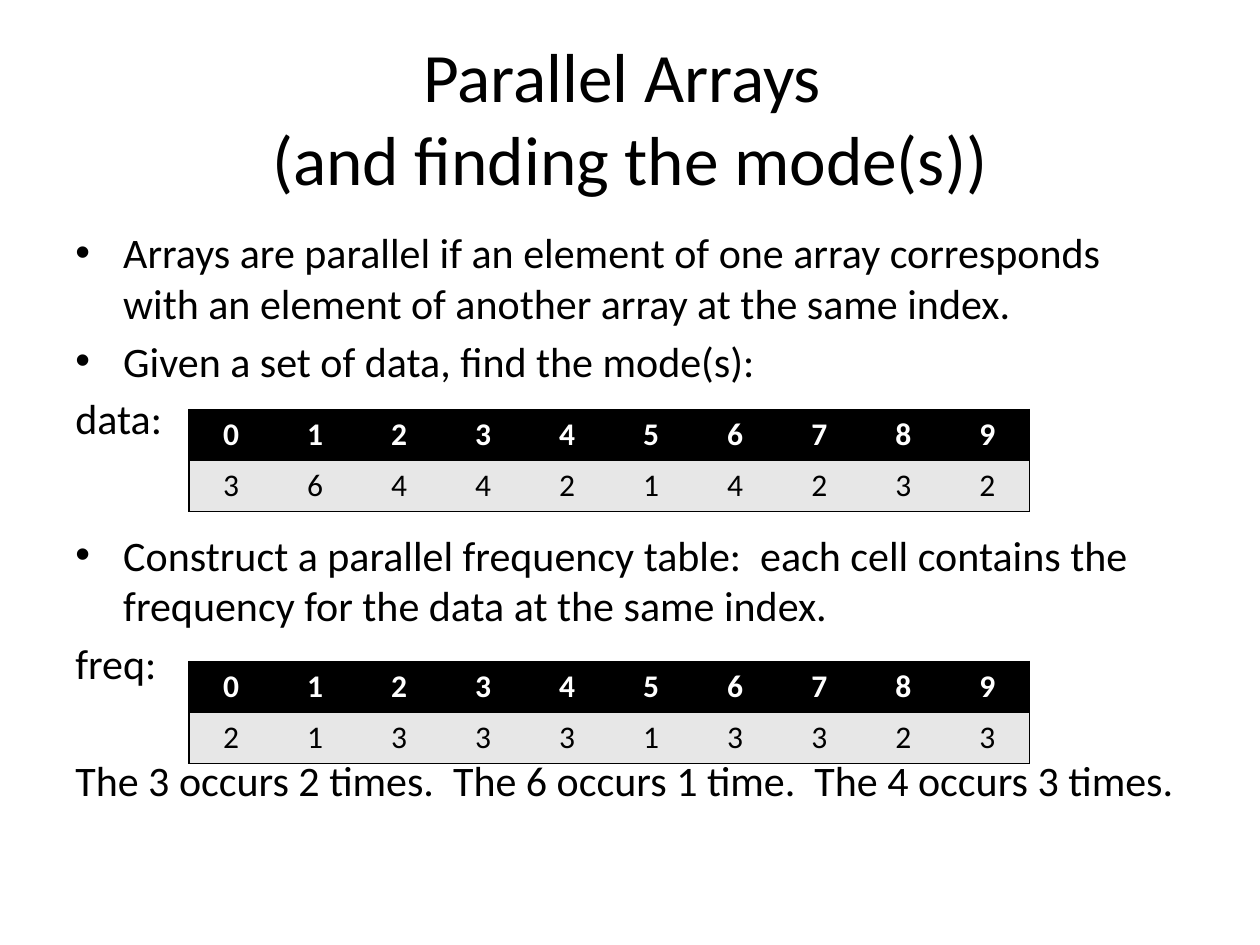
from lxml import etree
from pptx import Presentation
from pptx.dml.color import RGBColor
from pptx.enum import text
from pptx.oxml import ns
from pptx.util import Inches, Pt

BLACK = RGBColor(0x00, 0x00, 0x00)
WHITE = RGBColor(0xFF, 0xFF, 0xFF)
GREY = RGBColor(0xE7, 0xE7, 0xE7)
NO_GRID_STYLE = "{2D5ABB26-0587-4C30-8999-92F81FD0307C}"

deck = Presentation()
deck.slide_width, deck.slide_height = Inches(10), Inches(7.5)
slide = deck.slides.add_slide(deck.slide_layouts[6])


def add_run(paragraph, words, size, color=BLACK, bold=False):
    run = paragraph.add_run()
    run.text = words
    run.font.name = "Calibri"
    run.font.size = Pt(size)
    run.font.bold = bold
    run.font.color.rgb = color


def add_border(cell, side):
    line = etree.SubElement(cell._tc.get_or_add_tcPr(), ns.qn("a:ln" + side), w=str(Pt(1)))
    fill = etree.SubElement(line, ns.qn("a:solidFill"))
    etree.SubElement(fill, ns.qn("a:srgbClr"), val=str(BLACK))


# Title
title = slide.shapes.add_textbox(Inches(0.5), Inches(0.3), Inches(9), Inches(1.25)).text_frame
title.word_wrap = True
title.vertical_anchor = text.MSO_ANCHOR.MIDDLE
heading = title.paragraphs[0]
heading.alignment = text.PP_ALIGN.CENTER
add_run(heading, "Parallel Arrays ", 39.6)
heading.add_line_break()
add_run(heading, "(and finding the mode(s))", 39.6)

# Body: words, bulleted, space before in points (larger below each table)
points = [
    ("Arrays are parallel if an element of one array corresponds "
     "with an element of another array at the same index.", True, 4.3),
    ("Given a set of data, find the mode(s):", True, 4.3),
    ("data:", False, 4.3),
    ("Construct a parallel frequency table:  each cell contains the "
     "frequency for the data at the same index.", True, 49),
    ("freq:", False, 4.3),
    ("The 3 occurs 2 times.  The 6 occurs 1 time.  The 4 occurs 3 times.", False, 37.8),
]
body = slide.shapes.add_textbox(Inches(0.5), Inches(1.75), Inches(9), Inches(4.95)).text_frame
body.word_wrap = True
for number, (words, bulleted, gap) in enumerate(points):
    point = body.add_paragraph() if number else body.paragraphs[0]
    point.space_before = Pt(gap)
    if bulleted:
        layout = point._p.get_or_add_pPr()
        layout.set("marL", str(Inches(0.38)))
        layout.set("indent", str(-Inches(0.38)))
        etree.SubElement(layout, ns.qn("a:buFont"), typeface="Arial")
        etree.SubElement(layout, ns.qn("a:buChar"), char="•")
    add_run(point, words, 24)

# Parallel arrays: index row above value row
indexes = range(10)
data = [3, 6, 4, 4, 2, 1, 4, 2, 3, 2]
freq = [2, 1, 3, 3, 3, 1, 3, 3, 2, 3]
for top, values in ((3.25, data), (5.25, freq)):
    frame = slide.shapes.add_table(2, 10, Inches(1.5), Inches(top), Inches(6.67), Inches(0.81))
    array = frame.table
    array._tbl.tblPr.find(ns.qn("a:tableStyleId")).text = NO_GRID_STYLE
    for row, (entries, fill, ink) in enumerate(((indexes, BLACK, WHITE), (values, GREY, BLACK))):
        for column, entry in enumerate(entries):
            cell = array.cell(row, column)
            sides = ("L" if column == 0 else "") + ("R" if column == 9 else "") + "TB"
            for side in sides:
                add_border(cell, side)
            cell.fill.solid()
            cell.fill.fore_color.rgb = fill
            label = cell.text_frame.paragraphs[0]
            label.alignment = text.PP_ALIGN.CENTER
            add_run(label, str(entry), 18, ink, bold=row == 0)

deck.save("out.pptx")
